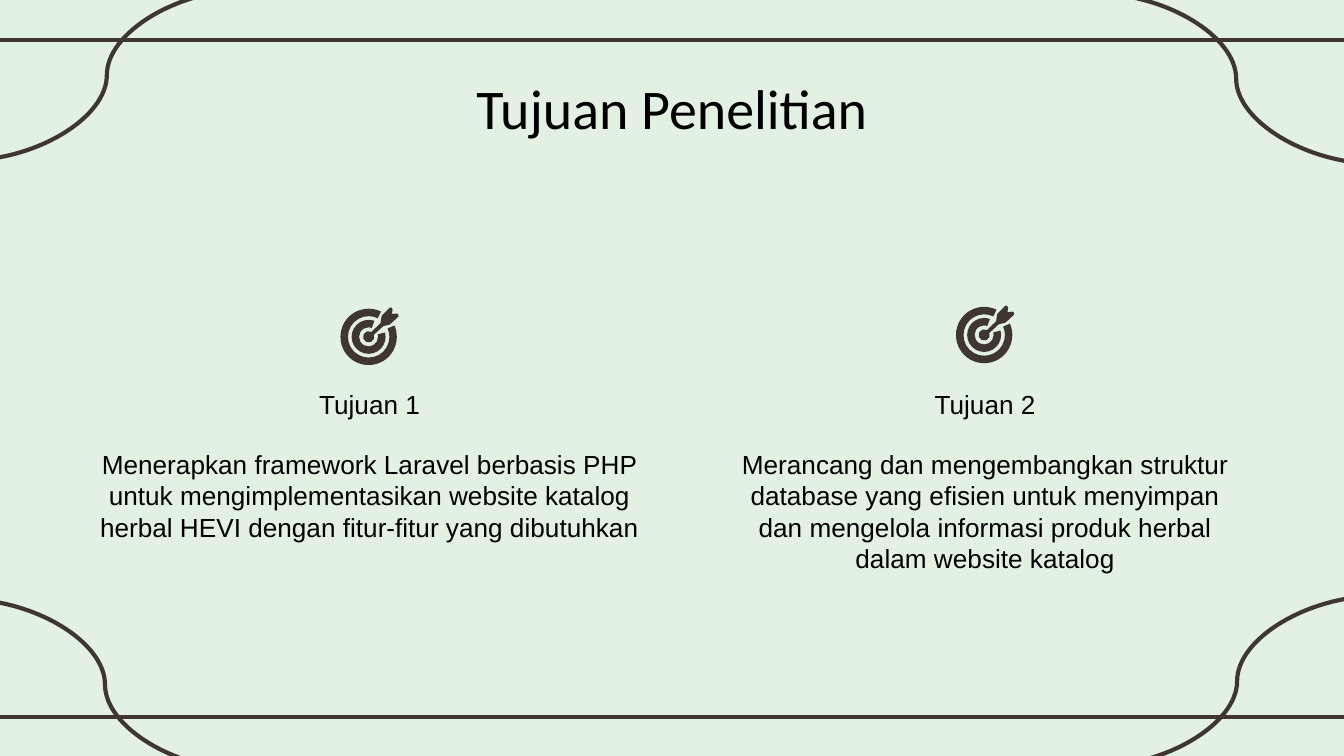
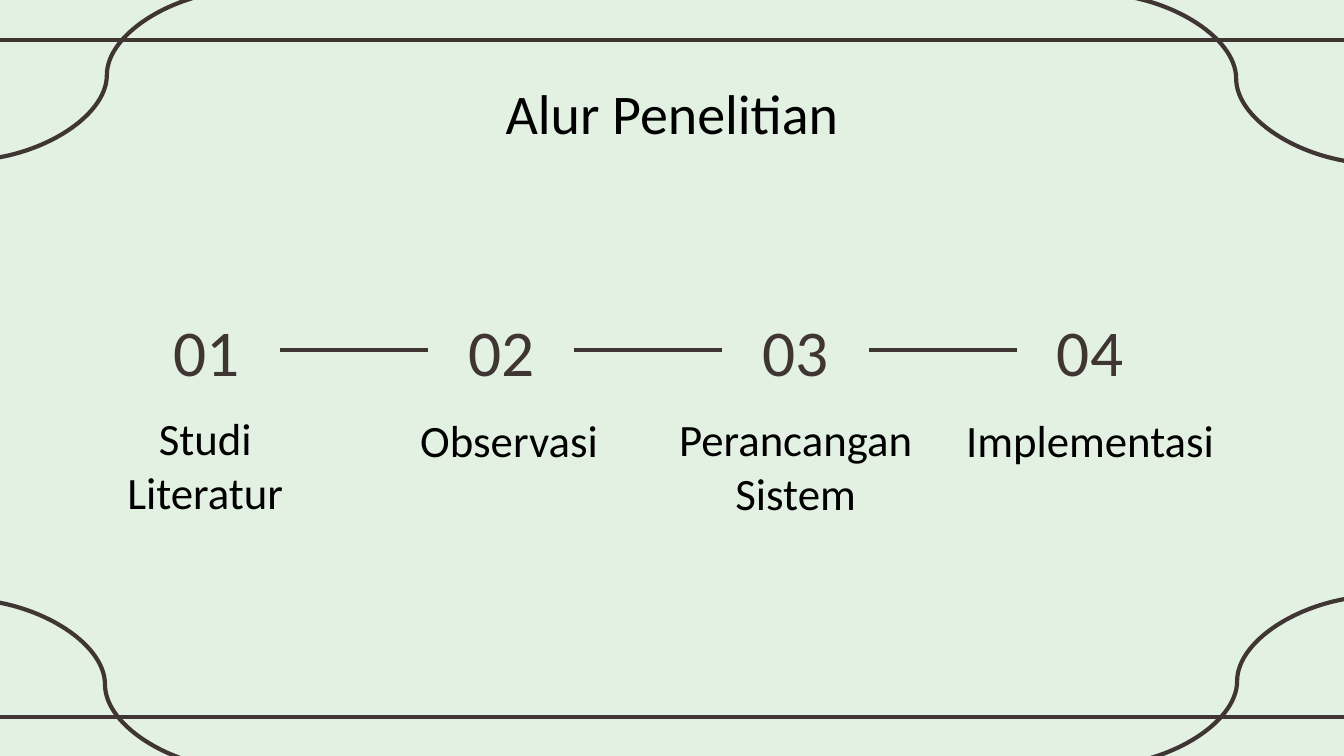
import math

import pptx
import pptx.dml.color
import pptx.enum.shapes
import pptx.enum.text
import pptx.util
from lxml import etree

Pt = pptx.util.Pt
CONNECTOR = pptx.enum.shapes.MSO_CONNECTOR
ANCHOR = pptx.enum.text.MSO_ANCHOR

COLORS = {"background": "E3F1E2", "ink": "3F3533", "text": "000000"}
HEADING_FONT, BODY_FONT = "Calibri", "Arial"
SLIDE_WIDTH, SLIDE_HEIGHT = 720, 405
INSET = 7.2

# Shared frame: heights of the rules, then start and end of each corner curve
RULE_HEIGHTS = (21.5, 384)
CORNER_CURVES = (
    ((-19.5, 321), (132, 412.5)),
    ((586.5, -3.5), (738, 87.75)),
    ((738.5, 319.25), (587, 410.5)),
    ((133, -5.5), (-18.5, 86)),
)

GOALS_TITLE = "Tujuan Penelitian"
# heading, description, centre x, description width, icon centre
GOALS = (
    ("Tujuan 1",
     "Menerapkan framework Laravel berbasis PHP untuk mengimplementasikan "
     "website katalog herbal HEVI dengan fitur-fitur yang dibutuhkan",
     198, 315.5, (197.5, 180.5)),
    ("Tujuan 2",
     "Merancang dan mengembangkan struktur database yang efisien untuk "
     "menyimpan dan mengelola informasi produk herbal dalam website katalog",
     527.75, 286.5, (527.25, 179.5)),
)

FLOW_TITLE = "Alur Penelitian"
# label, label centre x, top, width, height
STEPS = (
    ("Studi Literatur", 110, 213, 135.5, 67),
    ("Observasi", 272.75, 214, 135.5, 28),
    ("Perancangan Sistem", 426.25, 213.25, 164, 73.5),
    ("Implementasi", 584, 214, 164, 28),
)
FIRST_STEP_X, STEP_PITCH, NUMBER_WIDTH = 110.75, 157.75, 78.5

# Target icon, measured from its centre:
# outer radius, inner radius, angles between which the ring is open
RINGS = ((15.1, 11.1, 24, 64), (9.1, 5.1, 15, 70))
HUB_RADIUS = 3.05
DART = (
    (7.9, -5.8), (10.8, -6.4), (11.6, -6.8), (16, -10.9), (15.9, -12),
    (15.1, -12.5), (12.5, -12.2), (12.8, -14.8), (12, -15.8), (11.2, -15.6),
    (7.3, -11.6), (6.9, -11), (6.4, -7.4),
)


def rgb(name):
    return pptx.dml.color.RGBColor.from_string(COLORS[name])


def add_line(slide, start, end, kind=CONNECTOR.STRAIGHT):
    line = slide.shapes.add_connector(kind, *(Pt(v) for v in (*start, *end)))
    line.line.color.rgb = rgb("ink")
    line.line.width = Pt(2.25)
    etree.SubElement(line._element.spPr, pptx.oxml.ns.qn("a:effectLst"))


def add_text(slide, text, center_x, top, width, height, size,
             font=HEADING_FONT, color="text", anchor=ANCHOR.TOP):
    box = slide.shapes.add_textbox(
        Pt(center_x - width / 2), Pt(top), Pt(width), Pt(height))
    frame = box.text_frame
    frame.word_wrap = True
    frame.vertical_anchor = anchor
    frame.margin_left = frame.margin_right = Pt(INSET)
    frame.margin_top = frame.margin_bottom = Pt(INSET)
    frame.text = text
    paragraph = frame.paragraphs[0]
    paragraph.alignment = pptx.enum.text.PP_ALIGN.CENTER
    run_font = paragraph.runs[0].font
    run_font.name, run_font.size = font, Pt(size)
    run_font.color.rgb = rgb(color)


def add_framed_slide(prs, title, title_top, title_width):
    """Add a slide with the background, rules, corner curves and title."""
    slide = prs.slides.add_slide(prs.slide_layouts[6])
    slide.background.fill.solid()
    slide.background.fill.fore_color.rgb = rgb("background")
    for y in RULE_HEIGHTS:
        add_line(slide, (-6, y), (SLIDE_WIDTH + 6, y))
    for start, end in CORNER_CURVES:
        add_line(slide, start, end, CONNECTOR.CURVE)
    add_text(slide, title, SLIDE_WIDTH / 2, title_top, title_width, 45.5, 30)
    return slide


def fill_with_ink(part):
    part.shadow.inherit = False
    part.fill.solid()
    part.fill.fore_color.rgb = rgb("ink")
    part.line.fill.background()


def add_target_icon(slide, center_x, center_y):
    icon = slide.shapes.add_group_shape()

    hub_angles = [math.radians(60 + 46 * step) for step in range(8)]
    hub = [(HUB_RADIUS * math.cos(a), -HUB_RADIUS * math.sin(a))
           for a in hub_angles]
    points = [(Pt(center_x + x), Pt(center_y + y)) for x, y in (*hub, *DART)]
    builder = icon.shapes.build_freeform(*points[0])
    builder.add_line_segments(points[1:], close=True)
    fill_with_ink(builder.convert_to_shape())

    for outer, inner, gap_low, gap_high in reversed(RINGS):
        ring = icon.shapes.add_shape(
            pptx.enum.shapes.MSO_SHAPE.BLOCK_ARC,
            Pt(center_x - outer), Pt(center_y - outer),
            Pt(2 * outer), Pt(2 * outer))
        # Angles run clockwise in units of 1/60000 degree
        ring.adjustments[0] = (360 - gap_low) * 0.6
        ring.adjustments[1] = (360 - gap_high) * 0.6
        ring.adjustments[2] = (outer - inner) / (2 * outer)
        fill_with_ink(ring)


def build_goals(prs):
    slide = add_framed_slide(prs, GOALS_TITLE, 32, 498)
    for heading, description, center_x, width, icon_center in GOALS:
        add_text(slide, heading, center_x, 201, 196, 39.5, 14, BODY_FONT)
        add_text(slide, description, center_x, 233, width, 71.5, 14, BODY_FONT)
        add_target_icon(slide, *icon_center)


def build_flow(prs):
    slide = add_framed_slide(prs, FLOW_TITLE, 35, 608)
    for index, (label, *label_place) in enumerate(STEPS):
        number_x = FIRST_STEP_X + index * STEP_PITCH
        add_text(slide, f"{index + 1:02d}", number_x, 161.25, NUMBER_WIDTH, 52.5,
                 35, color="ink", anchor=ANCHOR.MIDDLE)
        add_text(slide, label, *label_place, 24)
        if index < len(STEPS) - 1:
            half = NUMBER_WIDTH / 2
            add_line(slide, (number_x + half, 187.5),
                     (number_x + STEP_PITCH - half, 187.5))


def main():
    prs = pptx.Presentation()
    prs.slide_width, prs.slide_height = Pt(SLIDE_WIDTH), Pt(SLIDE_HEIGHT)
    build_goals(prs)
    build_flow(prs)
    prs.save("out.pptx")


if __name__ == "__main__":
    main()
